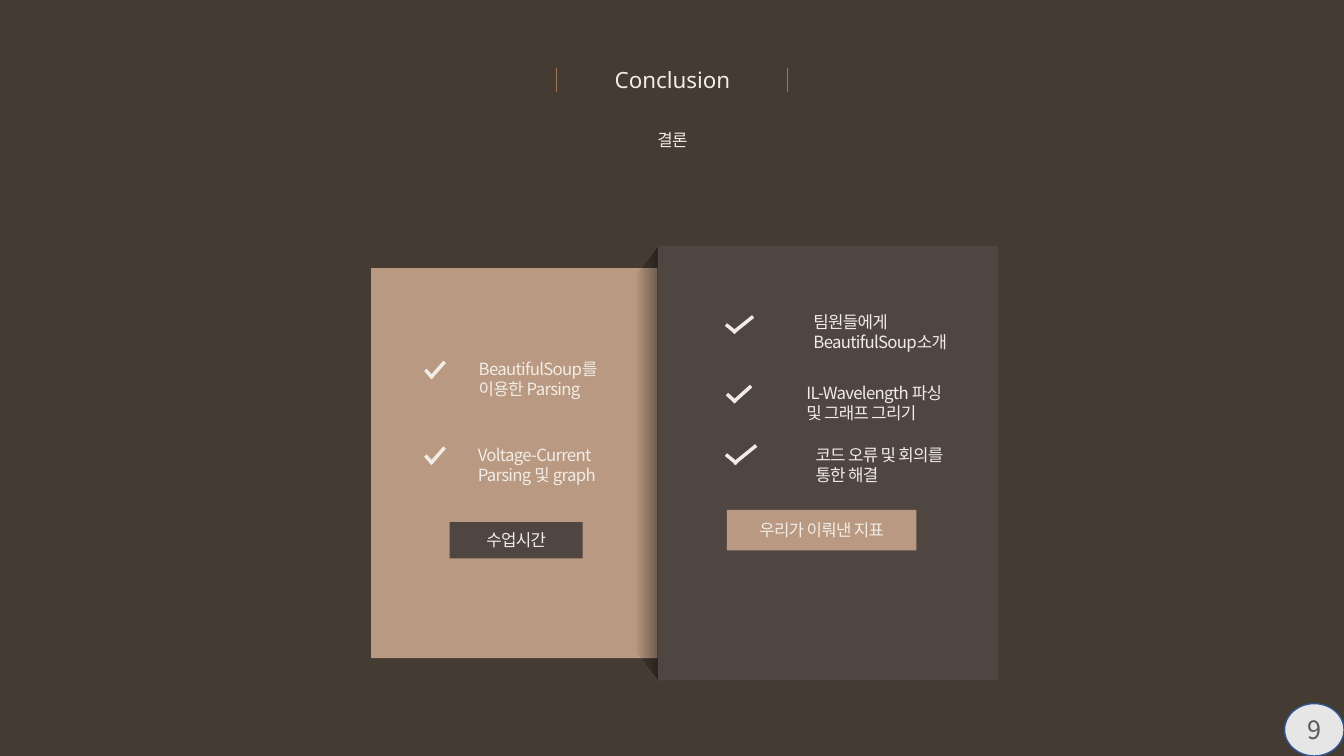
from typing import NamedTuple

from lxml import etree
from pptx import Presentation
from pptx.dml.color import RGBColor
from pptx.enum.shapes import MSO_CONNECTOR, MSO_SHAPE
from pptx.enum.text import MSO_ANCHOR, MSO_AUTO_SIZE, PP_ALIGN
from pptx.oxml import parse_xml
from pptx.oxml.ns import nsdecls, qn
from pptx.util import Inches, Pt

LINE = MSO_CONNECTOR.STRAIGHT
RECT, OVAL = MSO_SHAPE.RECTANGLE, MSO_SHAPE.OVAL
TOP, MIDDLE = MSO_ANCHOR.TOP, MSO_ANCHOR.MIDDLE
LEFT, CENTER = PP_ALIGN.LEFT, PP_ALIGN.CENTER
FIXED = MSO_AUTO_SIZE.NONE

COLORS = {
    "back": "443B32", "tan": "B99981", "brown": "4F4641", "cream": "F1ECE6",
    "rule": "A07759", "badge": "E6E6E6", "ring": "325491", "digit": "595959",
}
LATIN, KOREAN = "Noto Sans", "Noto Sans CJK KR"


class Box(NamedTuple):
    x: float
    y: float
    w: float
    h: float


class Item(NamedTuple):
    tick: Box
    area: Box
    text: str


class Panel(NamedTuple):
    area: Box
    fill: str
    button: Box
    accent: str
    label: str
    items: tuple[Item, ...]


PANELS = (
    Panel(Box(3.68, 2.66, 2.92, 3.87), "tan", Box(4.46, 5.18, 1.32, 0.36), "brown", "수업시간", (
        Item(Box(4.22, 3.59, 0.19, 0.16), Box(4.65, 3.51, 1.57, 0.5),
             "BeautifulSoup를\n이용한 Parsing"),
        Item(Box(4.22, 4.44, 0.19, 0.16), Box(4.64, 4.36, 1.58, 0.5),
             "Voltage-Current\nParsing 및 graph"),
    )),
    Panel(Box(6.52, 2.44, 3.38, 4.31), "brown", Box(7.21, 5.06, 1.88, 0.4), "tan",
          "우리가 이뤄낸 지표", (
        Item(Box(7.2, 3.14, 0.27, 0.16), Box(7.97, 3.04, 1.54, 0.5),
             "팀원들에게 BeautifulSoup소개"),
        Item(Box(7.21, 3.83, 0.24, 0.16), Box(7.9, 3.75, 1.62, 0.5),
             "IL-Wavelength 파싱 및 그래프 그리기"),
        Item(Box(7.2, 4.42, 0.3, 0.18), Box(7.99, 4.36, 1.62, 0.5),
             "코드 오류 및 회의를 통한 해결"),
    )),
)

deck = Presentation()
deck.slide_width, deck.slide_height = Inches(13.33), Inches(7.5)
slide = deck.slides.add_slide(deck.slide_layouts[5])
shapes = slide.shapes


def color(name: str) -> RGBColor:
    return RGBColor.from_string(COLORS[name])


def place(box: Box) -> list[int]:
    return [Inches(side) for side in box]


def write(shape, text: str, size: int = 12, ink: str = "cream", font: str = KOREAN,
          track: int = -50, align=CENTER, anchor=TOP, wrap: bool = False,
          space: float = 1.0) -> None:
    frame = shape.text_frame
    frame.text = text
    look = {"word_wrap": wrap, "vertical_anchor": anchor, "auto_size": FIXED}
    for key, value in look.items():
        setattr(frame, key, value)
    for para in frame.paragraphs:
        para.alignment, para.line_spacing = align, space
        for run in para.runs:
            for key, value in {"size": Pt(size), "name": font, "bold": False}.items():
                setattr(run.font, key, value)
            run.font.color.rgb = color(ink)
            props = run.font._element
            props.set("spc", str(track))
            etree.SubElement(props, qn("a:ea")).set("typeface", font)


def draw(kind, box: Box, fill: str, edge: str | None = None):
    shape = shapes.add_shape(kind, *place(box))
    shape.shadow.inherit = False
    shape.fill.solid()
    shape.fill.fore_color.rgb = color(fill)
    if edge:
        shape.line.color.rgb, shape.line.width = color(edge), Pt(1)
    else:
        shape.line.fill.background()
    return shape


def stroke(x: float, y: float, to_x: float, to_y: float, ink: str, width: float) -> None:
    line = shapes.add_connector(LINE, Inches(x), Inches(y), Inches(to_x), Inches(to_y))
    line.line.color.rgb, line.line.width = color(ink), Pt(width)
    etree.SubElement(line._element.spPr, qn("a:effectLst"))


def check(box: Box) -> None:
    x, y, w, h = box
    base = y + h
    stroke(x + 0.26 * w, base, x + w, y, "cream", 2.5)
    stroke(x + 0.37 * w, base, x, y + h / 2, "cream", 2.5)


def shade(box: Box) -> None:
    """Fold shadow along the left edge of a panel."""
    x, y, end = box.x, box.y, box.y + box.h
    points = [(x, end), (x - 0.22, end - 0.3), (x - 0.22, y + 0.3)]
    path = shapes.build_freeform(Inches(x), Inches(y))
    path.add_line_segments([(Inches(a), Inches(b)) for a, b in points], close=True)
    fold = path.convert_to_shape()
    fold.shadow.inherit = False
    fold.line.fill.background()
    stops = "".join(
        f'<a:gs pos="{pos}"><a:srgbClr val="000000"><a:alpha val="{alpha}"/></a:srgbClr></a:gs>'
        for pos, alpha in ((0, 0), (100000, 41000)))
    fold._element.spPr.find(qn("a:custGeom")).addnext(parse_xml(
        f'<a:gradFill {nsdecls("a")} rotWithShape="1"><a:gsLst>{stops}</a:gsLst>'
        '<a:lin ang="0" scaled="0"/></a:gradFill>'))


# Background and heading
slide.background.fill.solid()
slide.background.fill.fore_color.rgb = color("back")
title = shapes.title
title.left, title.top, title.width, title.height = place(Box(5.99, 0.61, 1.36, 0.37))
write(title, "Conclusion", size=16, font=LATIN, track=0)
for side in (5.52, 7.81):
    stroke(side, 0.67, side, 0.91, "rule", 1.25)
write(shapes.add_textbox(*place(Box(6.41, 1.18, 0.52, 0.33))), "결론", space=1.3)

# Panels, with the fold between them
for panel in PANELS:
    draw(RECT, panel.area, panel.fill)
    if panel is PANELS[-1]:
        shade(panel.area)
    for item in panel.items:
        check(item.tick)
        write(shapes.add_textbox(*place(item.area)), item.text, align=LEFT, wrap=True)
    write(draw(RECT, panel.button, panel.accent), panel.label, anchor=MIDDLE)

# Page number
badge = draw(OVAL, Box(12.74, 6.98, 0.59, 0.52), "badge", "ring")
write(badge, "9", size=18, ink="digit", track=0, anchor=MIDDLE)

deck.save("out.pptx")
